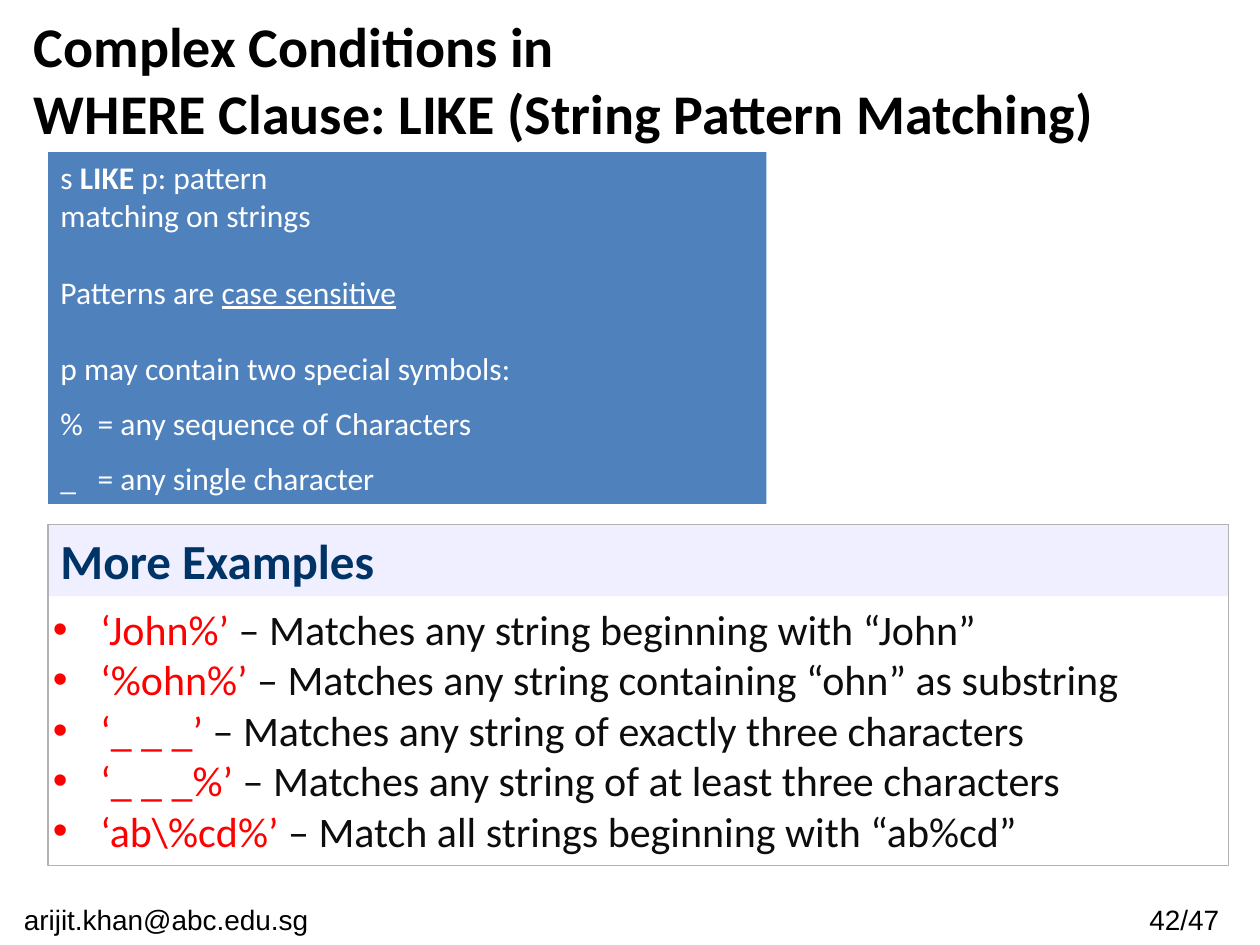
from lxml.etree import SubElement
from pptx import Presentation
from pptx.dml.color import RGBColor
from pptx.enum.shapes import MSO_SHAPE as Shape
from pptx.enum.text import MSO_ANCHOR as Anchor, MSO_AUTO_SIZE as AutoSize, PP_ALIGN as Align
from pptx.oxml.ns import qn
from pptx.util import Cm, Pt

BLACK = RGBColor(0x00, 0x00, 0x00)
WHITE = RGBColor(0xFF, 0xFF, 0xFF)
BLUE = RGBColor(0x4F, 0x81, 0xBD)
LAVENDER = RGBColor(0xEF, 0xEF, 0xFF)
NAVY = RGBColor(0x00, 0x33, 0x66)
GREY = RGBColor(0xB2, 0xB2, 0xB2)
RED = RGBColor(0xFF, 0x00, 0x00)
DARK = RGBColor(0x0D, 0x0D, 0x0D)

# Left edge and width shared by the panels, in centimetres
PANEL_LEFT, PANEL_WIDTH = 0.97, 23.8

# Each line: space before in points, then its runs as (text, emphasis)
RULES = [
    (0, [("s ", ""), ("LIKE", "bold"), (" p: pattern", "")]),
    (0, [("matching on strings", "")]),
    (22, [("Patterns are ", ""), ("case sensitive", "underline")]),
    (22, [("p may contain two special symbols:", "")]),
    (9.75, [("%\t= any sequence of Characters", "")]),
    (9.75, [("_\t= any single character", "")]),
]
EXAMPLES = [
    ("‘John%’", "Matches any string beginning with “John”"),
    ("‘%ohn%’", "Matches any string containing “ohn” as substring"),
    ("‘_ _ _’", "Matches any string of exactly three characters"),
    ("‘_ _ _%’", "Matches any string of at least three characters"),
    ("‘ab\\%cd%’", "Match all strings beginning with “ab%cd”"),
]


def place(shape, left, top, width, height):
    shape.left, shape.top = Cm(left), Cm(top)
    shape.width, shape.height = Cm(width), Cm(height)


def style_run(run, size, color, name="Calibri", bold=False, underline=False):
    font = run.font
    font.name, font.size, font.bold = name, Pt(size), bold
    font.underline = underline
    font.color.rgb = color


def style_frame(frame, anchor=Anchor.TOP):
    frame.word_wrap = True
    frame.auto_size = AutoSize.NONE
    frame.vertical_anchor = anchor


def add_lines(frame, count):
    """Return the given number of left-aligned paragraphs."""
    while len(frame.paragraphs) < count:
        frame.add_paragraph()
    for paragraph in frame.paragraphs:
        paragraph.alignment = Align.LEFT
        paragraph.space_before = Pt(0)
    return frame.paragraphs


def hang(paragraph, indent):
    """Give a paragraph a hanging indent."""
    properties = paragraph._p.get_or_add_pPr()
    properties.set("marL", str(Cm(indent)))
    properties.set("indent", str(-Cm(indent)))
    return properties


def add_panel(slide, left, top, width, height, fill=None, line=None):
    panel = slide.shapes.add_shape(Shape.RECTANGLE, Cm(left), Cm(top), Cm(width), Cm(height))
    panel.shadow.inherit = False
    if fill is None:
        panel.fill.background()
    else:
        panel.fill.solid()
        panel.fill.fore_color.rgb = fill
    if line is None:
        panel.line.fill.background()
    else:
        panel.line.color.rgb = line
        panel.line.width = Pt(0.75)
    style_frame(panel.text_frame)
    return panel


def add_footer(slide, text, left, width):
    box = slide.shapes.add_textbox(Cm(left), Cm(18.06), Cm(width), Cm(0.99))
    style_frame(box.text_frame)
    box.text_frame.text = text
    paragraph = box.text_frame.paragraphs[0]
    paragraph.alignment = Align.CENTER
    style_run(paragraph.runs[0], 16, BLACK, name="Arial")


def fill_title(title):
    place(title, 0.43, 0.64, 22.86, 1.9)
    frame = title.text_frame
    frame.text = "Complex Conditions in\nWHERE Clause: LIKE (String Pattern Matching)"
    style_frame(frame, Anchor.MIDDLE)
    for paragraph in add_lines(frame, 2):
        style_run(paragraph.runs[0], 32, BLACK, bold=True)


def add_rules(slide):
    panel = add_panel(slide, PANEL_LEFT, 3.07, 14.48, 7.09, fill=BLUE)
    paragraphs = add_lines(panel.text_frame, len(RULES))
    for paragraph, (space, runs) in zip(paragraphs, RULES):
        paragraph.space_before = Pt(space)
        for text, emphasis in runs:
            run = paragraph.add_run()
            run.text = text
            style_run(run, 18, WHITE, bold=emphasis == "bold", underline=emphasis == "underline")
    # The two symbols line up their meanings at one indent
    for paragraph in paragraphs[-2:]:
        hang(paragraph, 0.75)


def fill_examples(body):
    place(body, 0.81, 12.04, 23.95, 5.38)
    style_frame(body.text_frame)
    paragraphs = add_lines(body.text_frame, len(EXAMPLES))
    for paragraph, (pattern, meaning) in zip(paragraphs, EXAMPLES):
        SubElement(hang(paragraph, 0.96), qn("a:buChar"), char="•")
        for text, color in ((pattern, RED), (f" – {meaning}", DARK)):
            run = paragraph.add_run()
            run.text = text
            style_run(run, 24, color)


def main():
    presentation = Presentation()
    presentation.slide_width, presentation.slide_height = Cm(25.4), Cm(19.05)
    slide = presentation.slides.add_slide(presentation.slide_layouts[1])

    # Title and pattern rules
    fill_title(slide.shapes.title)
    add_rules(slide)

    # Examples: heading band, frame and list
    heading = add_panel(slide, PANEL_LEFT, 10.57, PANEL_WIDTH, 1.45, fill=LAVENDER)
    heading.text_frame.text = "More Examples"
    paragraph = add_lines(heading.text_frame, 1)[0]
    style_run(paragraph.runs[0], 28, NAVY, bold=True)
    add_panel(slide, PANEL_LEFT, 10.57, PANEL_WIDTH, 6.88, line=GREY)
    fill_examples(slide.placeholders[1])

    # Footer
    add_footer(slide, "arijit.khan@abc.edu.sg", 0, 6.7)
    add_footer(slide, "42/47", 22.4, 2.95)

    presentation.save("out.pptx")


if __name__ == "__main__":
    main()
